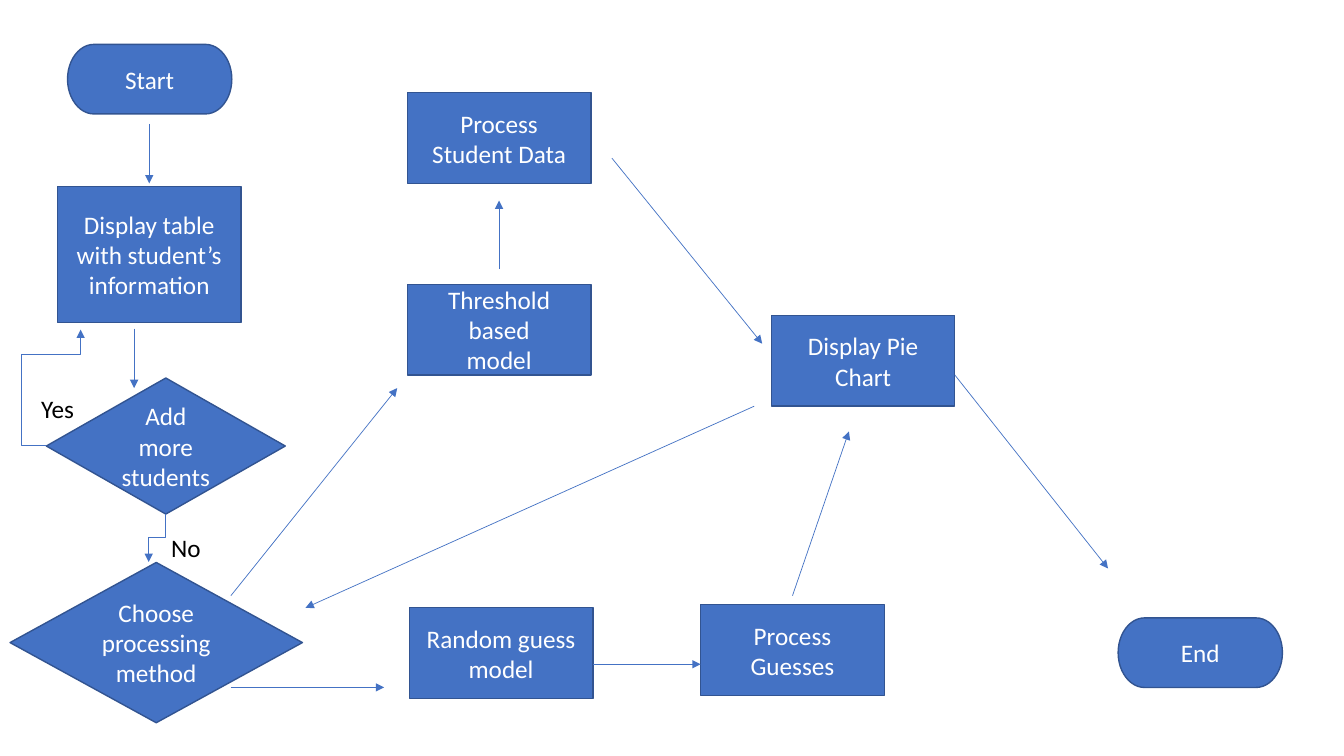
import dataclasses

import pptx
import pptx.dml.color
import pptx.enum.shapes
import pptx.enum.text
import pptx.oxml.ns
import pptx.util
from lxml import etree

Inches = pptx.util.Inches
Kind = pptx.enum.shapes.MSO_SHAPE
Link = pptx.enum.shapes.MSO_CONNECTOR
Align = pptx.enum.text.PP_ALIGN
Anchor = pptx.enum.text.MSO_ANCHOR
Fit = pptx.enum.text.MSO_AUTO_SIZE
qn = pptx.oxml.ns.qn


@dataclasses.dataclass(frozen=True)
class Theme:
    fill: str = "4472C4"
    edge: str = "325491"
    light: str = "FFFFFF"
    dark: str = "000000"
    font: str = "Calibri"
    size: float = 18
    rim: float = 1
    wire: float = 0.5


def color(code):
    return pptx.dml.color.RGBColor.from_string(code)


def write(frame, text, *, font, size, ink, align, anchor, wrap=True):
    frame.word_wrap = wrap
    frame.vertical_anchor = anchor
    frame.text = text
    for para in frame.paragraphs:
        para.alignment = align
        for run in para.runs:
            run.font.name = font
            run.font.size = pptx.util.Pt(size)
            run.font.color.rgb = color(ink)


class Chart:
    def __init__(self, slide, theme):
        self.slide = slide
        self.theme = theme

    def node(self, kind, text, left, top, width, height):
        theme = self.theme
        shape = self.slide.shapes.add_shape(kind, *map(Inches, (left, top, width, height)))
        shape.shadow.inherit = False
        shape.fill.solid()
        shape.fill.fore_color.rgb = color(theme.fill)
        shape.line.color.rgb = color(theme.edge)
        shape.line.width = pptx.util.Pt(theme.rim)
        write(shape.text_frame, text, font=theme.font, size=theme.size,
              ink=theme.light, align=Align.CENTER, anchor=Anchor.MIDDLE)

    def label(self, text, left, top, width, height, wrap=True):
        theme = self.theme
        box = self.slide.shapes.add_textbox(*map(Inches, (left, top, width, height)))
        write(box.text_frame, text, font=theme.font, size=theme.size,
              ink=theme.dark, align=Align.LEFT, anchor=Anchor.TOP, wrap=wrap)
        box.text_frame.auto_size = Fit.SHAPE_TO_FIT_TEXT

    def arrow(self, start, end, kind=Link.STRAIGHT):
        wire = self.slide.shapes.add_connector(kind, *map(Inches, (*start, *end)))
        wire.line.color.rgb = color(self.theme.fill)
        wire.line.width = pptx.util.Pt(self.theme.wire)
        props = wire._element.spPr
        etree.SubElement(props.find(qn("a:ln")), qn("a:tailEnd"), type="triangle")
        etree.SubElement(props, qn("a:effectLst"))
        return props

    def elbow(self, start, end, bends, turn=0):
        props = self.arrow(start, end, Link.ELBOW)
        if turn:
            props.find(qn("a:xfrm")).set("rot", str(turn * 60000))
        geom = props.find(qn("a:prstGeom"))
        geom.set("prst", f"bentConnector{len(bends) + 2}")
        guides = geom.find(qn("a:avLst"))
        if guides is None:
            guides = etree.SubElement(geom, qn("a:avLst"))
        for place, bend in enumerate(bends, 1):
            etree.SubElement(guides, qn("a:gd"), name=f"adj{place}",
                             fmla=f"val {round(bend * 100000)}")


deck = pptx.Presentation()
deck.slide_width = Inches(13.33)
deck.slide_height = Inches(7.5)
flow = Chart(deck.slides.add_slide(deck.slide_layouts[6]), Theme())

STEP = (1.82, 0.9)
CAP = (1.63, 0.69)

for text, left, top in (
    ("Display Pie Chart", 7.65, 3.13),
    ("Process Guesses", 6.95, 6),
    ("Process Student Data", 4.04, 0.92),
    ("Threshold based\nmodel", 4.04, 2.82),
    ("Random guess model", 4.06, 6.03),
):
    flow.node(Kind.RECTANGLE, text, left, top, *STEP)

flow.node(Kind.RECTANGLE, "Display table with student’s information", 0.57, 1.85, 1.82, 1.35)
flow.node(Kind.DIAMOND, "Add more students", 0.46, 3.75, 2.37, 1.35)
flow.node(Kind.DIAMOND, "Choose processing method", 0.1, 5.58, 2.9, 1.59)

for text, left, top in (("Start", 0.67, 0.44), ("End", 11.09, 6.13)):
    flow.node(Kind.FLOWCHART_TERMINATOR, text, left, top, *CAP)

flow.label("Yes", 0.31, 3.85, 0.69, 0.4)
flow.label("No", 1.6, 5.23, 0.5, 0.4, wrap=False)

for start, end in (
    ((1.48, 1.23), (1.48, 1.82)),
    ((1.33, 3.26), (1.33, 3.85)),
    ((2.29, 5.91), (3.94, 3.85)),
    ((2.29, 6.82), (3.81, 6.82)),
    ((4.95, 2.67), (4.95, 1.99)),
    ((5.88, 6.59), (6.95, 6.59)),
    ((7.86, 5.91), (8.42, 4.28)),
    ((6.07, 1.57), (7.56, 3.41)),
    ((7.48, 4.03), (3.03, 6.03)),
    ((9.47, 3.72), (10.99, 5.64)),
):
    flow.arrow(start, end)

flow.elbow((0.46, 4.42), (0.8, 3.27), (-0.73, 0.79))
flow.elbow((1.32, 5.25), (1.8, 5.42), (0.5,), turn=90)

deck.save("out.pptx")
